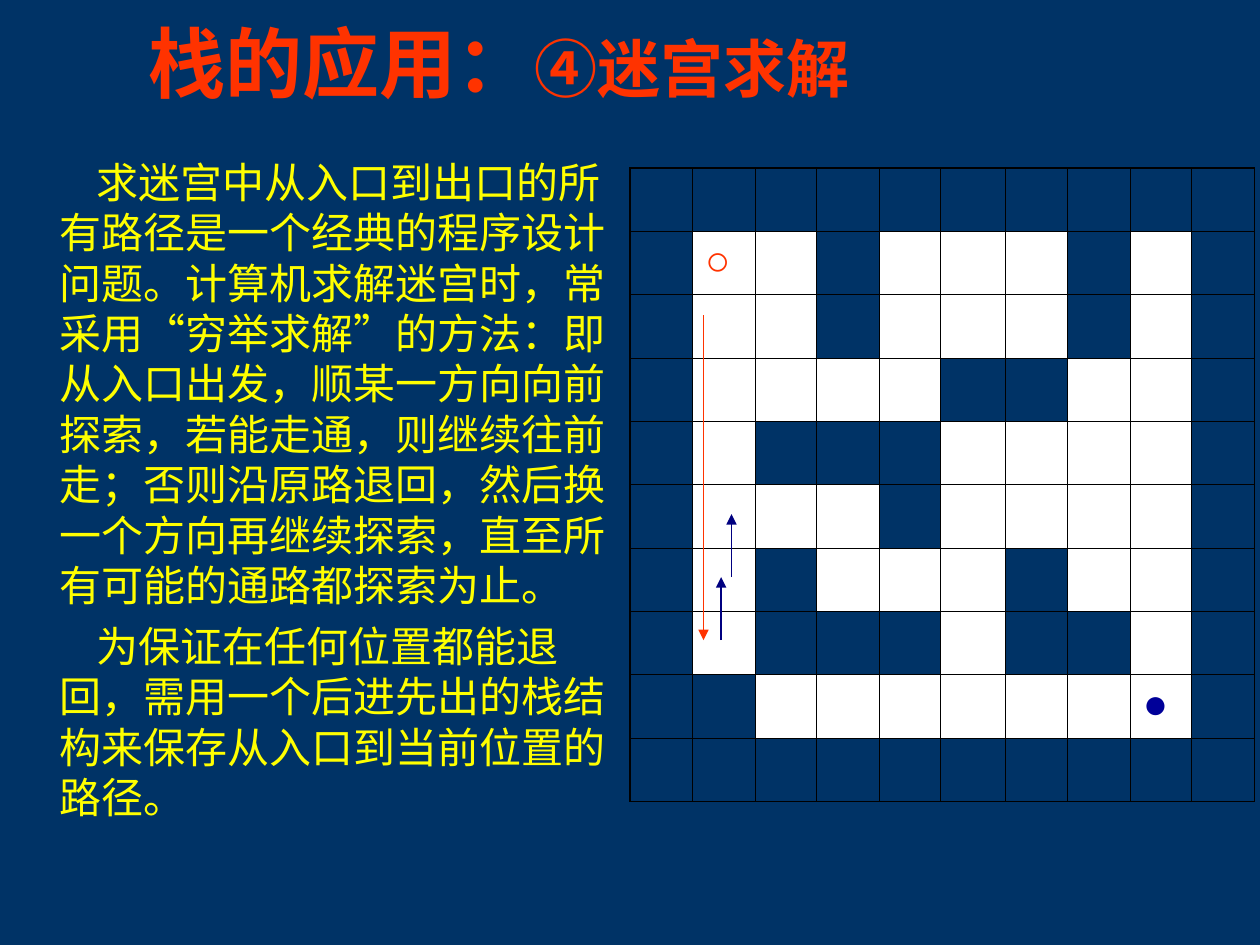
from dataclasses import dataclass
from lxml.etree import SubElement as Sub
from pptx import Presentation as Deck
from pptx.dml.color import RGBColor as Rgb
from pptx.enum.shapes import MSO_CONNECTOR as Link
from pptx.enum.text import MSO_ANCHOR as Anchor, PP_ALIGN as Align
from pptx.oxml.ns import qn
from pptx.util import Pt


@dataclass(frozen=True)
class Theme:
    """Colours, fonts and type sizes of the slide."""
    back: str = "003366"
    red: str = "FF3300"
    gold: str = "FFFF00"
    open: str = "FFFFFF"
    grid: str = "000000"
    blue: str = "000099"
    navy: str = "000080"
    head: str = "Noto Sans CJK SC"
    text: str = "Times New Roman"
    big: int = 44
    mid: int = 36
    base: int = 24
    thin: float = 0.45
    thick: float = 1.08
    line: float = 0.75


def put(para, text, *, font, size, color, east=None, bold=False, lead=None,
        before=0, left=0, first=0):
    """Add a formatted run to a paragraph."""
    para.alignment = Align.LEFT
    para.space_before = Pt(before)
    if lead:
        para.line_spacing = Pt(lead)
    props = para._p.get_or_add_pPr()
    props.set("marL", str(Pt(left)))
    props.set("indent", str(Pt(first)))
    props.set("hangingPunct", "0")
    run = para.add_run()
    run.text = text
    run.font.name, run.font.size, run.font.bold = font, Pt(size), bold
    run.font.color.rgb = Rgb.from_string(color)
    look = run._r.get_or_add_rPr()
    look.set("lang", "zh-CN")
    Sub(look, qn("a:ea")).set("typeface", east or font)


class Page:
    """Hold the theme and the current slide."""

    def __init__(self, deck, theme):
        """Start a title-only slide."""
        self.theme = theme
        self.slide = deck.slides.add_slide(deck.slide_layouts[5])
        self.fill(self.slide.background.fill, theme.back)

    def fill(self, fill, color):
        """Make a fill solid."""
        fill.solid()
        fill.fore_color.rgb = Rgb.from_string(color)

    def title(self, parts, box):
        """Place the title with its sized parts."""
        shape = self.slide.shapes.title
        shape.left, shape.top, shape.width, shape.height = map(Pt, box)
        frame = shape.text_frame
        frame.word_wrap, frame.vertical_anchor = True, Anchor.MIDDLE
        for text, size in parts:
            put(frame.paragraphs[0], text, font=self.theme.head, size=size,
                color=self.theme.red, bold=True)

    def body(self, texts, box):
        """Place the body paragraphs."""
        frame = self.slide.shapes.add_textbox(*map(Pt, box)).text_frame
        frame.word_wrap, frame.margin_top = True, Pt(5.2)
        for num, text in enumerate(texts):
            para = frame.add_paragraph() if num else frame.paragraphs[0]
            put(para, text, font=self.theme.text, east=self.theme.head,
                size=self.theme.base, color=self.theme.gold, lead=28.8,
                before=6, left=27, first=21)

    def edge(self, cell, sides):
        """Draw the borders of a cell."""
        props = cell._tc.get_or_add_tcPr()
        for side, thick in sides.items():
            width = self.theme.thick if thick else self.theme.thin
            line = Sub(props, qn(f"a:ln{side}"), w=str(Pt(width)))
            paint = Sub(line, qn("a:solidFill"))
            Sub(paint, qn("a:srgbClr"), val=self.theme.grid)

    def maze(self, rows, marks, left, top, widths, height):
        """Build the maze table, where a dot is open and a hash is wall."""
        count, last = len(rows), len(widths) - 1
        frame = self.slide.shapes.add_table(
            count, len(widths), Pt(left), Pt(top), Pt(sum(widths)), Pt(height * count))
        frame.element.xpath(".//a:tableStyleId")[0].text = \
            "{2D5ABB26-0587-4C30-8999-92F81FD0307C}"
        table = frame.table
        table.first_row = table.horz_banding = False
        for col, width in zip(table.columns, widths):
            col.width = Pt(width)
        for y, row in enumerate(rows):
            table.rows[y].height = Pt(height)
            for x, kind in enumerate(row):
                cell = table.cell(y, x)
                self.edge(cell, {"L": x == 0, "R": x == last,
                                 "T": y == 0, "B": y == count - 1})
                if kind == ".":
                    self.fill(cell.fill, self.theme.open)
                else:
                    cell.fill.background()
                if (y, x) in marks:
                    text, color = marks[y, x]
                    put(cell.text_frame.paragraphs[0], text, lead=26.7, before=6,
                        font=self.theme.text, size=self.theme.base, color=color)

    def arrow(self, x, start, end, color):
        """Draw an upright arrow."""
        link = self.slide.shapes.add_connector(
            Link.STRAIGHT, Pt(x), Pt(start), Pt(x), Pt(end))
        link.line.width = Pt(self.theme.line)
        link.line.color.rgb = Rgb.from_string(color)
        Sub(link.line._get_or_add_ln(), qn("a:tailEnd"), type="triangle")
        Sub(link.element.spPr, qn("a:effectLst"))


TEXTS = (
    "求迷宫中从入口到出口的所有路径是一个经典的程序设计问题。计算机求解迷宫时，"
    "常采用“穷举求解”的方法：即从入口出发，顺某一方向向前探索，若能走通，"
    "则继续往前走；否则沿原路退回，然后换一个方向再继续探索，"
    "直至所有可能的通路都探索为止。",
    "为保证在任何位置都能退回，需用一个后进先出的栈结构来保存从入口到当前位置的路径。",
)
MAZE = (
    "##########",
    "#..#...#.#",
    "#..#...#.#",
    "#....##..#",
    "#.###....#",
    "#...#....#",
    "#.#...#..#",
    "#.###.##.#",
    "##.......#",
    "##########",
)
WIDTHS = (35.8, 35.8, 35.2, 35.9, 34.5, 37.2, 35.8, 35.8, 35.2, 35.9)


def main():
    """Build and save the slide."""
    deck, theme = Deck(), Theme()
    deck.slide_width, deck.slide_height = Pt(720), Pt(540)
    page = Page(deck, theme)
    page.title((("栈的应用：", theme.big), ("④迷宫求解", theme.mid)),
               (77.8, 1.9, 624.2, 66.2))
    page.body(TEXTS, (0, 84.2, 372.2, 455.8))
    marks = {(1, 1): ("○", theme.red), (8, 8): ("●", theme.blue)}
    page.maze(MAZE, marks, 360, 96, WIDTHS, 36.2)
    page.arrow(402, 180, 365.8, theme.red)
    page.arrow(412.1, 365.8, 329.8, theme.navy)
    page.arrow(418, 329.8, 293.8, theme.navy)
    deck.save("out.pptx")


if __name__ == "__main__":
    main()
